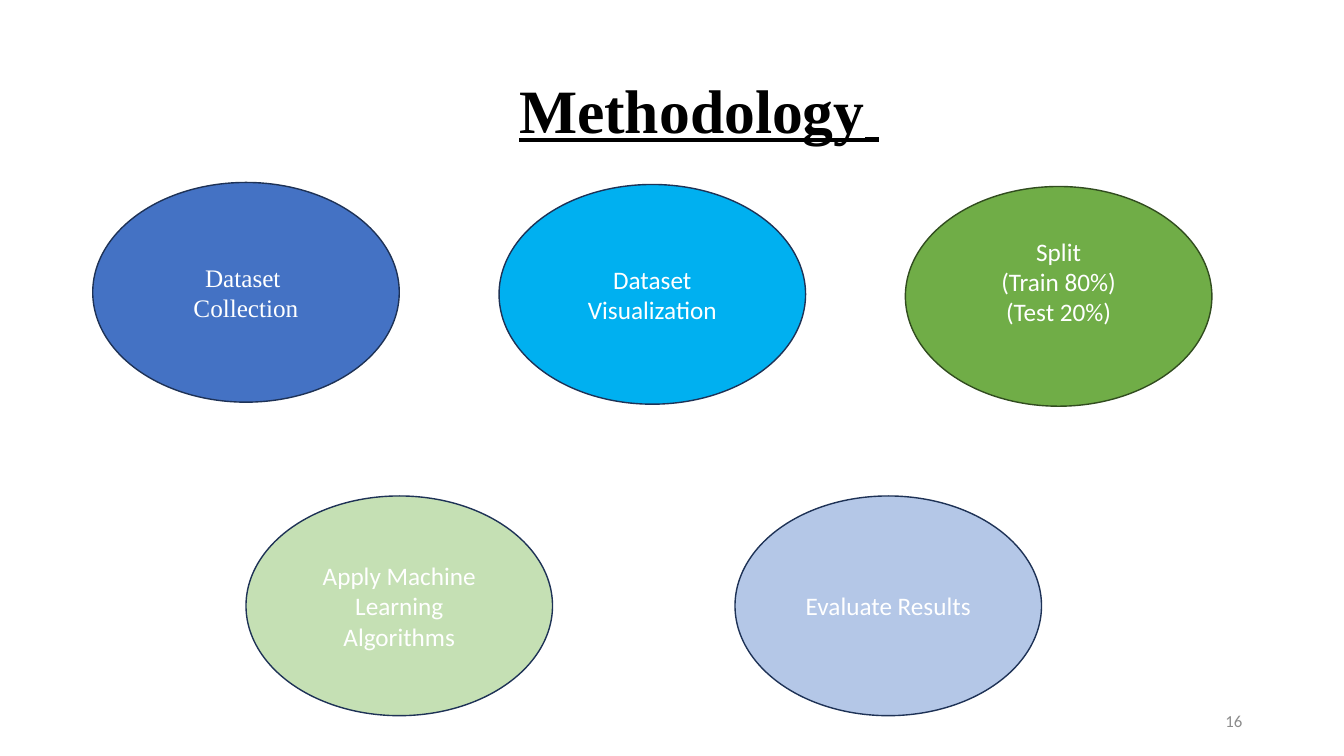
"""Build the Methodology slide: five process steps as ellipses."""
from pptx import Presentation
from pptx.dml.color import RGBColor
from pptx.enum.shapes import MSO_SHAPE
from pptx.enum.text import MSO_ANCHOR, PP_ALIGN
from pptx.util import Inches, Pt

ELLIPSE = MSO_SHAPE.OVAL
MIDDLE = MSO_ANCHOR.MIDDLE
LEFT, CENTER, RIGHT = PP_ALIGN.LEFT, PP_ALIGN.CENTER, PP_ALIGN.RIGHT

THEME = {
    "serif": "Times New Roman", "sans": "Calibri",
    "title_size": 44, "step_size": 18, "number_size": 12,
    "black": "000000", "white": "FFFFFF", "gray": "8C8C8C",
    "navy": "1E3256", "dark_green": "314C1F",
    "blue": "4472C4", "sky": "00B0F0", "green": "70AD47",
    "pale_green": "C5E0B4", "pale_blue": "B4C7E7",
}

TITLE = "Methodology"
PAGE_NUMBER = "16"
STEP_ROWS = [
    {"left": 0.92, "top": 1.81, "pitch": 4.03, "drop": 0.02, "steps": [
        (["Dataset ", "Collection"], "blue", "navy", "serif", 0.05),
        (["Dataset", "Visualization"], "sky", "navy", "sans", 0.05),
        (["Split", "(Train 80%)", "(Test 20%)"], "green", "dark_green", "sans", 0.35),
    ]},
    {"left": 2.44, "top": 4.92, "pitch": 4.85, "drop": 0, "steps": [
        (["Apply Machine Learning Algorithms"], "pale_green", "navy", "sans", 0.05),
        (["Evaluate Results"], "pale_blue", "navy", "sans", 0.05),
    ]},
]
STEP_WIDTH, STEP_HEIGHT = 3.04, 2.18


def color(name):
    return RGBColor.from_string(THEME[name])


def write_lines(shape, lines, font, size, ink, alignment):
    frame = shape.text_frame
    frame.word_wrap = True
    frame.vertical_anchor = MIDDLE
    frame.text = "\n".join(lines)
    for paragraph in frame.paragraphs:
        paragraph.alignment = alignment
        paragraph.font.name = THEME[font]
        paragraph.font.size = Pt(THEME[size])
        paragraph.font.color.rgb = color(ink)
    return frame


def add_text(slide, box, *style):
    shape = slide.shapes.add_textbox(*map(Inches, box))
    return write_lines(shape, *style)


def add_title(slide):
    frame = add_text(slide, (5.05, 0.4, 7.37, 1.45),
                     [TITLE], "serif", "title_size", "black", LEFT)
    paragraph = frame.paragraphs[0]
    paragraph.line_spacing = 0.9
    paragraph.font.bold = True
    paragraph.font.underline = True
    ending = paragraph.add_run()
    ending.text = " "
    ending.font.name = THEME["sans"]
    ending.font.bold = False


def add_step(slide, left, top, lines, fill, outline, font, bottom_margin):
    box = (left, top, STEP_WIDTH, STEP_HEIGHT)
    shape = slide.shapes.add_shape(ELLIPSE, *map(Inches, box))
    shape.shadow.inherit = False
    shape.fill.solid()
    shape.fill.fore_color.rgb = color(fill)
    shape.line.color.rgb = color(outline)
    shape.line.width = Pt(1)
    frame = write_lines(shape, lines, font, "step_size", "white", CENTER)
    frame.margin_bottom = Inches(bottom_margin)


def main():
    presentation = Presentation()
    presentation.slide_width = Inches(13.33)
    presentation.slide_height = Inches(7.5)
    slide = presentation.slides.add_slide(presentation.slide_layouts[6])
    add_title(slide)
    add_text(slide, (9.42, 6.95, 3, 0.4),
             [PAGE_NUMBER], "sans", "number_size", "gray", RIGHT)
    for row in STEP_ROWS:
        for index, step in enumerate(row["steps"]):
            left = row["left"] + index * row["pitch"]
            top = row["top"] + index * row["drop"]
            add_step(slide, left, top, *step)
    presentation.save("out.pptx")


if __name__ == "__main__":
    main()
